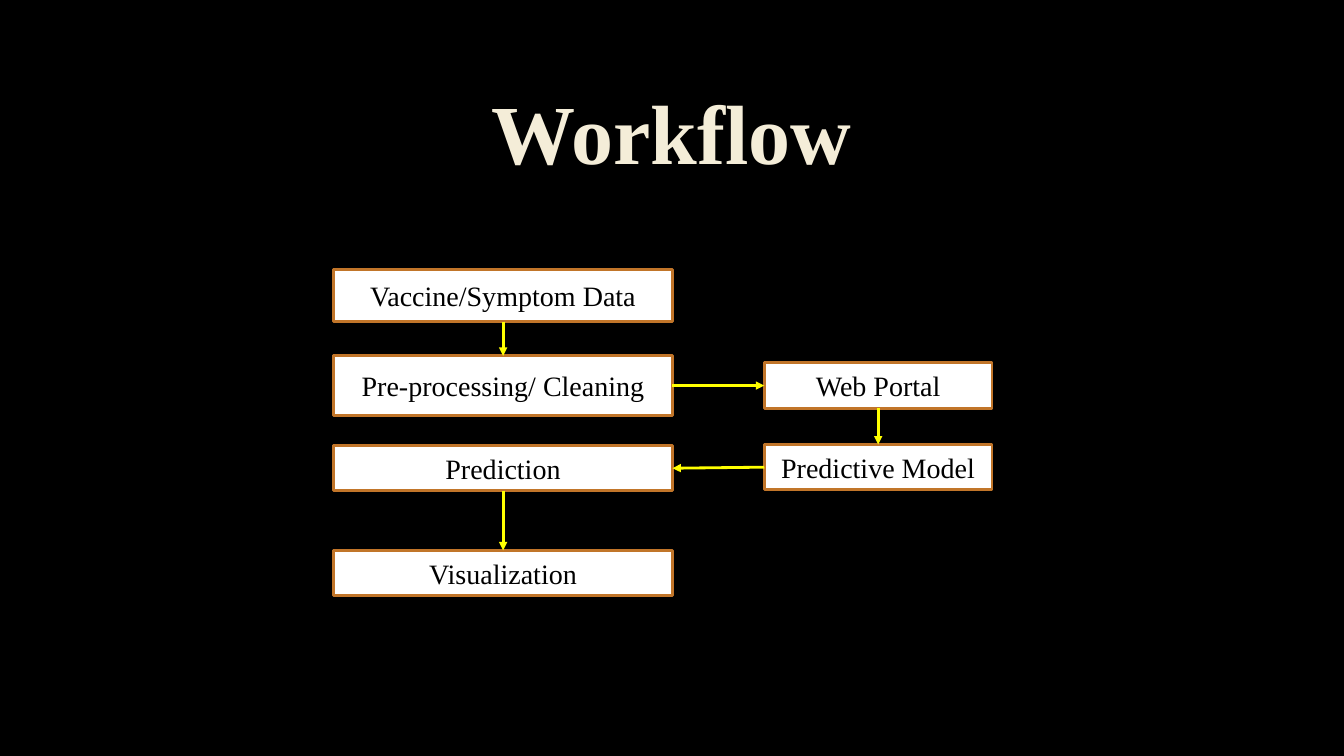
"""Build the Workflow slide: a title above a two-column flow chart."""
from pptx import Presentation
from pptx.dml.color import RGBColor
from pptx.enum import shapes, text
from pptx.oxml import ns
from pptx.util import Inches, Pt
from lxml import etree

BLACK = RGBColor(0x00, 0x00, 0x00)
WHITE = RGBColor(0xFF, 0xFF, 0xFF)
CREAM = RGBColor(0xF4, 0xED, 0xD8)
ORANGE = RGBColor(0xC1, 0x75, 0x29)
YELLOW = RGBColor(0xFF, 0xFF, 0x00)
FONT = "Times New Roman"
TOP, LEFT, BOTTOM, RIGHT = range(4)


def set_text(sp, words, size, color, bold=False):
    """Write one centred line into a shape."""
    tf = sp.text_frame
    tf.word_wrap = True
    tf.vertical_anchor = text.MSO_ANCHOR.MIDDLE
    p = tf.paragraphs[0]
    p.text = words
    p.alignment = text.PP_ALIGN.CENTER
    font = p.runs[0].font
    font.name, font.size, font.bold = FONT, Pt(size), bold
    font.color.rgb = color
    return p


def add_title(s, left, top, width, height):
    """Place the slide title in the given box."""
    sp = s.shapes.add_textbox(left, top, width, height)
    p = set_text(sp, "Workflow", 60, CREAM, bold=True)
    p.line_spacing = 0.9


def add_step(s, words, left, top, width, height):
    """Place one outlined step box."""
    sp = s.shapes.add_shape(shapes.MSO_SHAPE.RECTANGLE, left, top, width, height)
    sp.shadow.inherit = False
    sp.fill.solid()
    sp.fill.fore_color.rgb = WHITE
    sp.line.color.rgb = ORANGE
    sp.line.width = Pt(2)
    tf = sp.text_frame
    tf.margin_left = tf.margin_right = Inches(0.07)
    tf.margin_top = tf.margin_bottom = Inches(0.04)
    set_text(sp, words, 20, BLACK)
    return sp


def add_arrow(s, start, start_side, end, end_side):
    """Join two steps with an arrow glued to their sides."""
    cx = s.shapes.add_connector(shapes.MSO_CONNECTOR.STRAIGHT, 0, 0, 0, 0)
    cx.begin_connect(start, start_side)
    cx.end_connect(end, end_side)
    cx.line.color.rgb = YELLOW
    cx.line.width = Pt(2)
    etree.SubElement(cx.line._get_or_add_ln(), ns.qn("a:tailEnd"), type="triangle")
    etree.SubElement(cx._element.spPr, ns.qn("a:effectLst"))


def add_flow(s, left, top):
    """Place the steps and their arrows from the given corner."""
    main_w, side_w, low_h = Inches(3.36), Inches(2.26), Inches(0.45)
    side = left + Inches(4.27)
    data = add_step(s, "Vaccine/Symptom Data", left, top, main_w, Inches(0.52))
    cleaning = add_step(s, "Pre-processing/ Cleaning", left, top + Inches(0.86),
                        main_w, Inches(0.59))
    prediction = add_step(s, "Prediction", left, top + Inches(1.75), main_w, low_h)
    visual = add_step(s, "Visualization", left, top + Inches(2.79), main_w, low_h)
    portal = add_step(s, "Web Portal", side, top + Inches(0.93), side_w, low_h)
    model = add_step(s, "Predictive Model", side, top + Inches(1.74), side_w, low_h)
    for link in ((data, BOTTOM, cleaning, TOP),
                 (cleaning, RIGHT, portal, LEFT),
                 (portal, BOTTOM, model, TOP),
                 (model, LEFT, prediction, RIGHT),
                 (prediction, BOTTOM, visual, TOP)):
        add_arrow(s, *link)


def main():
    """Create the presentation and save it."""
    prs = Presentation()
    prs.slide_width, prs.slide_height = Inches(13.33), Inches(7.5)
    s = prs.slides.add_slide(prs.slide_layouts[6])
    s.background.fill.solid()
    s.background.fill.fore_color.rgb = BLACK
    add_title(s, Inches(1), Inches(0.67), Inches(11.32), Inches(1.38))
    add_flow(s, Inches(3.31), Inches(2.67))
    prs.save("out.pptx")


if __name__ == "__main__":
    main()
